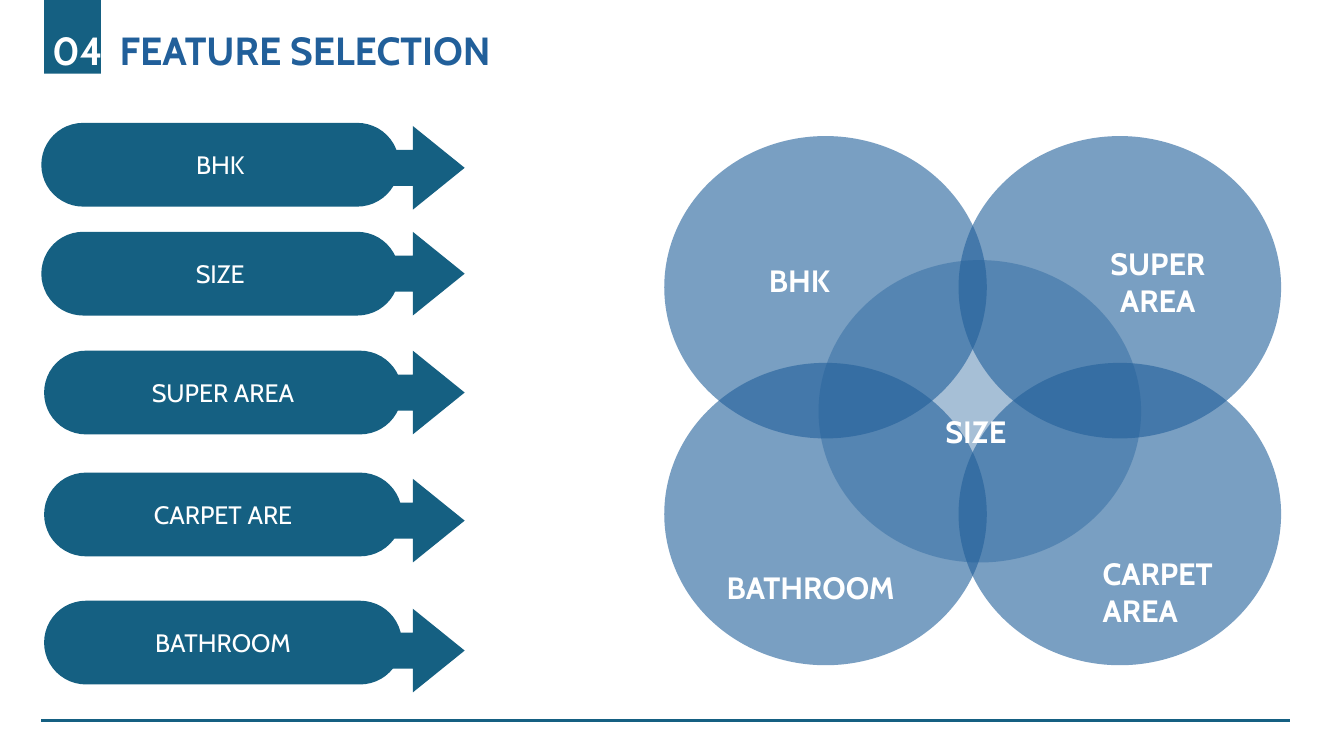
from dataclasses import dataclass

from lxml import etree
from pptx import Presentation
from pptx.dml.color import RGBColor
from pptx.enum.shapes import MSO_CONNECTOR, MSO_SHAPE
from pptx.enum.text import MSO_ANCHOR, PP_ALIGN
from pptx.oxml.ns import qn
from pptx.util import Pt

LEFT, CENTER = PP_ALIGN.LEFT, PP_ALIGN.CENTER
MIDDLE = MSO_ANCHOR.MIDDLE
RECTANGLE, PILL = MSO_SHAPE.RECTANGLE, MSO_SHAPE.ROUNDED_RECTANGLE
ARROW, OVAL = MSO_SHAPE.RIGHT_ARROW, MSO_SHAPE.OVAL
STRAIGHT = MSO_CONNECTOR.STRAIGHT


@dataclass(frozen=True)
class Theme:
    font: str = "Cabin"
    teal: RGBColor = RGBColor(0x15, 0x60, 0x82)
    blue: RGBColor = RGBColor(0x21, 0x5F, 0x9A)
    white: RGBColor = RGBColor(0xFF, 0xFF, 0xFF)
    title_size: int = 28
    feature_size: int = 18
    circle_size: int = 22


THEME = Theme()
SLIDE_WIDTH, SLIDE_HEIGHT = 960, 540

# Feature, pill indent, pill top, arrow top
FEATURES = [
    ("BHK", 0, 0, 2.2),
    ("SIZE", 0, 77.8, 77.8),
    ("SUPER AREA", 2, 162.7, 162.7),
    ("CARPET ARE", 2, 249.8, 254.2),
    ("BATHROOM", 2, 341.3, 347),
]

# Circle label, box within the diagram, alignment
CIRCLE_LABELS = [
    ("BHK", (67.7, 86.4, 72, 33.8), LEFT),
    ("BATHROOM", (37.4, 305.3, 140.4, 33.8), LEFT),
    ("CARPET AREA", (306, 295.2, 104.4, 60.5), LEFT),
    ("SUPER AREA", (294.5, 74.2, 115.9, 60.5), CENTER),
    ("SIZE", (193.7, 194.4, 63.4, 33.8), LEFT),
]


def add_filled(slide, preset, box, color, opacity=100):
    shape = slide.shapes.add_shape(preset, *map(Pt, box))
    shape.shadow.inherit = False
    shape.fill.solid()
    shape.fill.fore_color.rgb = color
    shape.line.fill.background()
    if opacity < 100:
        srgb = shape.fill._xPr.find(".//" + qn("a:srgbClr"))
        etree.SubElement(srgb, qn("a:alpha"), val=str(opacity * 1000))
    return shape


def set_font(font, size, color, bold=False):
    font.name = THEME.font
    font.size = Pt(size)
    font.color.rgb = color
    font.bold = bold


def add_text_box(slide, box):
    """Add a wrapping text box and return its first paragraph."""
    frame = slide.shapes.add_textbox(*map(Pt, box)).text_frame
    frame.word_wrap = True
    return frame.paragraphs[0]


def add_header(slide, box):
    left, top, width, height = box
    add_filled(slide, RECTANGLE, (left + 1.4, -28.8, 40.6, 81.4), THEME.teal)
    heading = add_text_box(slide, (left, top, width, height))
    tab_stops = etree.SubElement(heading._p.get_or_add_pPr(), qn("a:tabLst"))
    etree.SubElement(tab_stops, qn("a:tab"), pos=str(Pt(48.2)), algn="l")
    for words, color in (("04", THEME.white), ("\tFEATURE SELECTION", THEME.blue)):
        run = heading.add_run()
        run.text = words
        set_font(run.font, THEME.title_size, color, bold=True)


def add_feature_list(slide, box):
    left, top, width, _ = box
    row_height, pill_width, arrow_width = 59.8, 255.6, 82.8
    for feature, indent, pill_top, arrow_top in FEATURES:
        pill = add_filled(
            slide, PILL, (left + indent, top + pill_top, pill_width, row_height), THEME.teal)
        pill.adjustments[0] = 0.5
        pill.text_frame.vertical_anchor = MIDDLE
        label = pill.text_frame.paragraphs[0]
        label.text = feature
        label.alignment = CENTER
        set_font(label.font, THEME.feature_size, THEME.white)

        arrow = add_filled(
            slide, ARROW,
            (left + width - arrow_width, top + arrow_top, arrow_width, row_height), THEME.teal)
        arrow.adjustments[0] = 0.43
        arrow.adjustments[1] = 0.619


def add_venn(slide, box):
    """Place a circle in each corner of the box, one over the middle, then labels."""
    left, top, width, height = box
    circle_width, circle_height = 230.4, 216
    for y in (top, top + height - circle_height):
        for x in (left, left + width - circle_width):
            add_filled(slide, OVAL, (x, y, circle_width, circle_height), THEME.blue, 60)
    add_filled(
        slide, OVAL, (left + 110.2, top + 88.6, circle_width, circle_height), THEME.blue, 40)

    for words, (x, y, label_width, label_height), alignment in CIRCLE_LABELS:
        label = add_text_box(slide, (left + x, top + y, label_width, label_height))
        label.text = words
        label.alignment = alignment
        set_font(label.font, THEME.circle_size, THEME.white, bold=True)


def add_footer_rule(slide, left, right, y):
    rule = slide.shapes.add_connector(STRAIGHT, Pt(left), Pt(y), Pt(right), Pt(y))
    rule.line.color.rgb = THEME.teal
    rule.line.width = Pt(2)
    etree.SubElement(rule._element.spPr, qn("a:effectLst"))


def main():
    deck = Presentation()
    deck.slide_width, deck.slide_height = Pt(SLIDE_WIDTH), Pt(SLIDE_HEIGHT)
    slide = deck.slides.add_slide(deck.slide_layouts[6])
    add_header(slide, (30.2, 15.1, SLIDE_WIDTH - 30.2, 41))
    add_footer_rule(slide, 29.5, 921.6, 514.8)
    add_feature_list(slide, (29.5, 87.8, 302.4, 406.8))
    add_venn(slide, (474.5, 97.2, 440.6, 378))
    deck.save("out.pptx")


if __name__ == "__main__":
    main()
